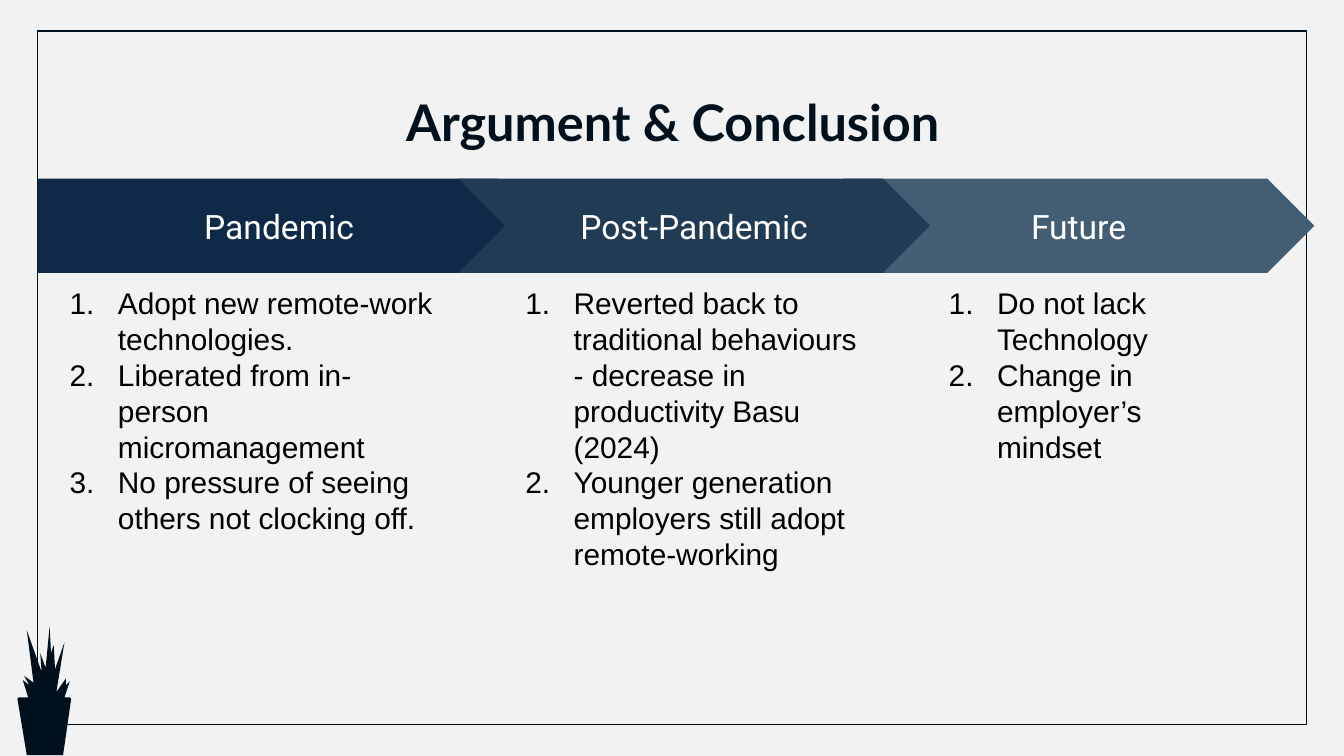
from dataclasses import dataclass

from lxml import etree
from pptx import Presentation, util as u
from pptx.dml.color import RGBColor
from pptx.enum import shapes, text
from pptx.oxml.ns import qn


@dataclass(frozen=True)
class Theme:
    paper: str = "F2F2F2"
    ink: str = "00111D"
    title = {"name": "Lato", "size": u.Pt(27), "bold": True}
    title_color: str = "00111D"
    stage = {"name": "Roboto", "size": u.Pt(18), "bold": False}
    stage_color: str = "FFFFFF"
    point = {"name": "Arial", "size": u.Pt(16), "bold": False}
    point_color: str = "000000"


THEME = Theme()
SLIDE_WIDTH = 10
SLIDE_HEIGHT = SLIDE_WIDTH * 9 / 16
CHEVRON = shapes.MSO_SHAPE.CHEVRON
PENTAGON = shapes.MSO_SHAPE.PENTAGON
BAND_TOP, BAND_HEIGHT = 1.33, 0.7
LIST_TOP = 2.02

# From back to front: each arrow overlaps the ones before it.
# Name, arrow preset, colour, arrow (left, width), list (left, width, height), points
STAGES = [
    ("Future", CHEVRON, "435D74", (6.27, 3.51), (6.82, 2.61, 2.23),
     ["Do not lack Technology", "Change in employer’s mindset"]),
    ("Pandemic", PENTAGON, "0E2A47", (0.28, 3.77), (0.28, 3.13, 2.93),
     ["Adopt new remote-work technologies.",
      "Liberated from in- person micromanagement",
      "No pressure of seeing others not clocking off."]),
    ("Post-Pandemic", CHEVRON, "213B55", (3.41, 3.51), (3.67, 2.91, 2.98),
     ["Reverted back to traditional behaviours - decrease in productivity Basu (2024)",
      "Younger generation employers still adopt remote-working"]),
]

# Outline in hundredths of an inch from the plant's top left corner
PLANT = [(24, 0), (21, 31), (17, 20), (18, 34), (7, 3), (12, 42), (5, 37),
         (9, 44), (4, 40), (8, 53), (1, 53), (0, 54), (7, 96), (34, 96),
         (40, 54), (39, 53), (35, 53), (39, 41), (36, 44), (36, 39),
         (29, 49), (35, 12), (28, 32), (27, 14), (25, 20)]


def inches(*lengths):
    return [u.Inches(length) for length in lengths]


def paint(fill, color):
    fill.solid()
    fill.fore_color.rgb = RGBColor.from_string(color)


def style_font(font, values, color):
    for name, value in values.items():
        setattr(font, name, value)
    font.color.rgb = RGBColor.from_string(color)


def set_frame(frame, anchor):
    values = {"word_wrap": True, "auto_size": text.MSO_AUTO_SIZE.NONE,
              "vertical_anchor": anchor}
    values.update({f"margin_{side}": u.Inches(0.1)
                   for side in ("left", "top", "right", "bottom")})
    for name, value in values.items():
        setattr(frame, name, value)


def add_border(slide, left, top, width, height):
    border = slide.shapes.add_shape(shapes.MSO_SHAPE.RECTANGLE,
                                    *inches(left, top, width, height))
    border.shadow.inherit = False
    border.fill.background()
    border.line.color.rgb = RGBColor.from_string(THEME.ink)
    border.line.width = u.Pt(0.75)


def add_plant(slide, left, top):
    builder = slide.shapes.build_freeform(*PLANT[0], scale=u.Inches(0.01))
    builder.add_line_segments(PLANT[1:], close=True)
    plant = builder.convert_to_shape(*inches(left, top))
    plant.shadow.inherit = False
    paint(plant.fill, THEME.ink)
    plant.line.fill.background()


def add_title(slide, left, top, width, height):
    title = slide.shapes.title
    title.left, title.top, title.width, title.height = inches(left, top, width, height)
    set_frame(title.text_frame, text.MSO_ANCHOR.MIDDLE)
    title.text_frame.text = "Argument & Conclusion"
    heading = title.text_frame.paragraphs[0]
    heading.alignment = text.PP_ALIGN.CENTER
    style_font(heading.font, THEME.title, THEME.title_color)


def add_stage_arrow(slide, name, preset, color, left, top, width, height):
    arrow = slide.shapes.add_shape(preset, *inches(left, top, width, height))
    arrow.shadow.inherit = False
    paint(arrow.fill, color)
    arrow.line.fill.background()
    set_frame(arrow.text_frame, text.MSO_ANCHOR.MIDDLE)
    label = arrow.text_frame.paragraphs[0]
    label.text = name
    label.alignment = text.PP_ALIGN.CENTER
    style_font(label.font, THEME.stage, THEME.stage_color)


def number_paragraph(paragraph):
    properties = paragraph._p.get_or_add_pPr()
    properties.set("marL", str(u.Inches(0.5)))
    properties.set("indent", str(u.Inches(-0.36)))
    etree.SubElement(properties, qn("a:buAutoNum"), type="arabicPeriod")


def add_points(slide, points, left, top, width, height):
    frame = slide.shapes.add_textbox(*inches(left, top, width, height)).text_frame
    set_frame(frame, text.MSO_ANCHOR.TOP)
    for index, point in enumerate(points):
        paragraph = frame.add_paragraph() if index else frame.paragraphs[0]
        paragraph.text = point
        number_paragraph(paragraph)
        style_font(paragraph.font, THEME.point, THEME.point_color)


def main():
    deck = Presentation()
    deck.slide_width, deck.slide_height = inches(SLIDE_WIDTH, SLIDE_HEIGHT)
    slide = deck.slides.add_slide(deck.slide_layouts[5])
    paint(slide.background.fill, THEME.paper)
    add_border(slide, 0.28, 0.23, 9.44, 5.16)
    add_plant(slide, 0.13, 4.66)
    add_title(slide, 0.79, 0.59, 8.43, 0.63)
    for name, preset, color, (left, width), (list_left, *list_size), points in STAGES:
        add_stage_arrow(slide, name, preset, color, left, BAND_TOP, width, BAND_HEIGHT)
        add_points(slide, points, list_left, LIST_TOP, *list_size)
    deck.save("out.pptx")


if __name__ == "__main__":
    main()
